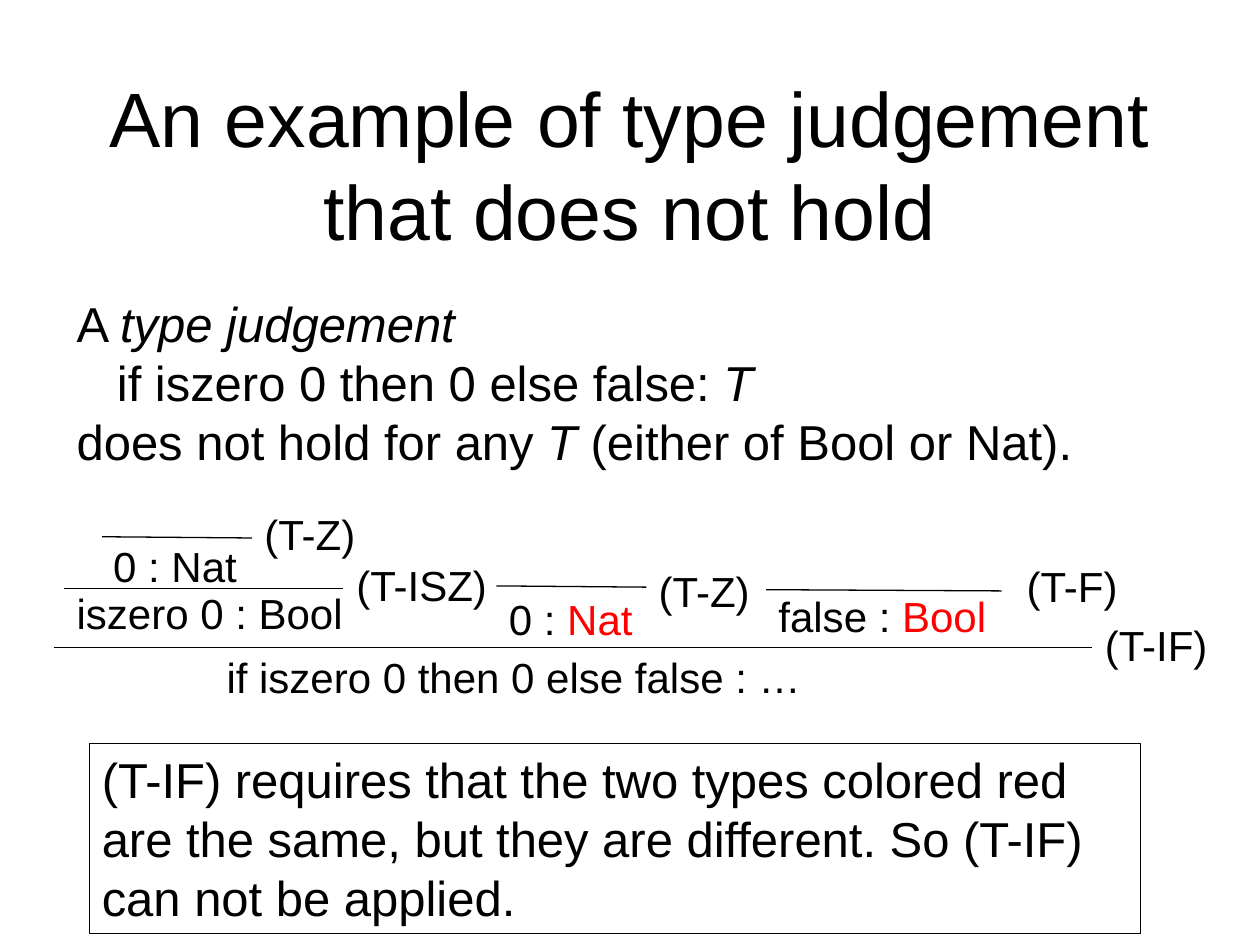
from lxml.etree import SubElement
from pptx import Presentation
from pptx.dml.color import RGBColor
from pptx.enum.shapes import MSO_CONNECTOR, MSO_SHAPE
from pptx.enum.text import MSO_ANCHOR, PP_ALIGN
from pptx.oxml.ns import qn
from pptx.util import Inches, Pt

BLACK, RED = "000000", "FF0000"


def rgb(value):
    return RGBColor.from_string(value)


def write(sp, paragraphs, size=24, align=PP_ALIGN.LEFT, anchor=MSO_ANCHOR.TOP,
          wrap=False, indents=()):
    tf = sp.text_frame
    tf.word_wrap = wrap
    tf.vertical_anchor = anchor
    for i, runs in enumerate(paragraphs):
        p = tf.add_paragraph() if i else tf.paragraphs[0]
        p.alignment = align
        if i < len(indents):
            p._p.get_or_add_pPr().set("marL", str(Inches(indents[i])))
        for text, color, italic in runs:
            r = p.add_run()
            r.text = text
            r.font.name = "Arial"
            r.font.size = Pt(size)
            r.font.italic = italic
            r.font.color.rgb = rgb(color)


def plain(text, color=BLACK):
    return text, color, False


def italic(text):
    return text, BLACK, True


def add_text(slide, box, *paragraphs, **fmt):
    sp = slide.shapes.add_textbox(*map(Inches, box))
    write(sp, paragraphs, **fmt)


def add_rule_line(slide, x1, y1, x2, y2):
    line = slide.shapes.add_connector(
        MSO_CONNECTOR.STRAIGHT, *map(Inches, (x1, y1, x2, y2)))
    line.line.color.rgb = rgb(BLACK)
    line.line.width = Pt(0.75)
    SubElement(line._element.spPr, qn("a:effectLst"))


def add_framed_note(slide, box, text):
    sp = slide.shapes.add_shape(MSO_SHAPE.RECTANGLE, *map(Inches, box))
    sp.shadow.inherit = False
    sp.fill.background()
    sp.line.color.rgb = rgb(BLACK)
    sp.line.width = Pt(0.75)
    write(sp, [[plain(text)]], size=28, wrap=True)


def add_derivation(slide):
    judgements = [
        (0.8, 4.24, 1.19, [plain("0 : Nat")]),
        (0.51, 4.61, 2.34, [plain("iszero 0 : Bool")]),
        (3.94, 4.66, 1.19, [plain("0 : "), plain("Nat", RED)]),
        (6.08, 4.64, 1.87, [plain("false : "), plain("Bool", RED)]),
    ]
    rule_names = [
        (2, 3.99, 0.93, [plain("(T-Z)")]),
        (2.73, 4.39, 1.25, [plain("(T-ISZ)")]),
        (5.13, 4.44, 0.93, [plain("(T-Z)")]),
        (8.05, 4.4, 1.04, [plain("(T-F)")]),
        (8.67, 4.87, 1.02, [plain("(T-IF)")]),
    ]
    for x, y, w, runs in judgements + rule_names:
        add_text(slide, (x, y, w, 0.5), runs)
    add_text(slide, (1.61, 5.12, 5.67, 0.5),
             [plain("if iszero 0 then 0 else false : …")],
             wrap=True, indents=(0.09,))

    for ends in [
        (0.81, 4.26, 2, 4.27),
        (0.51, 4.67, 2.72, 4.67),
        (3.94, 4.65, 5.13, 4.66),
        (6.08, 4.68, 7.95, 4.69),
        (0.43, 5.14, 8.67, 5.14),
    ]:
        add_rule_line(slide, *ends)


def main():
    prs = Presentation()
    prs.slide_width, prs.slide_height = Inches(10), Inches(7.5)
    slide = prs.slides.add_slide(prs.slide_layouts[6])
    add_text(slide, (0.75, 0.67, 8.5, 1.25),
             [plain("An example of type judgement that does not hold")],
             size=44, align=PP_ALIGN.CENTER, anchor=MSO_ANCHOR.MIDDLE, wrap=True)
    add_text(slide, (0.51, 2.28, 8.2, 1.51),
             [plain("A "), italic("type judgement")],
             [plain("if iszero 0 then 0 else false: "), italic("T")],
             [plain("does not hold for any "), italic("T "),
              plain("(either of Bool or Nat).")],
             size=28, indents=(0, 0.32))
    add_derivation(slide)
    add_framed_note(slide, (0.71, 5.9, 8.34, 1.51),
                    "(T-IF) requires that the two types colored red are the same, "
                    "but they are different. So (T-IF) can not be applied.")
    prs.save("out.pptx")


if __name__ == "__main__":
    main()
